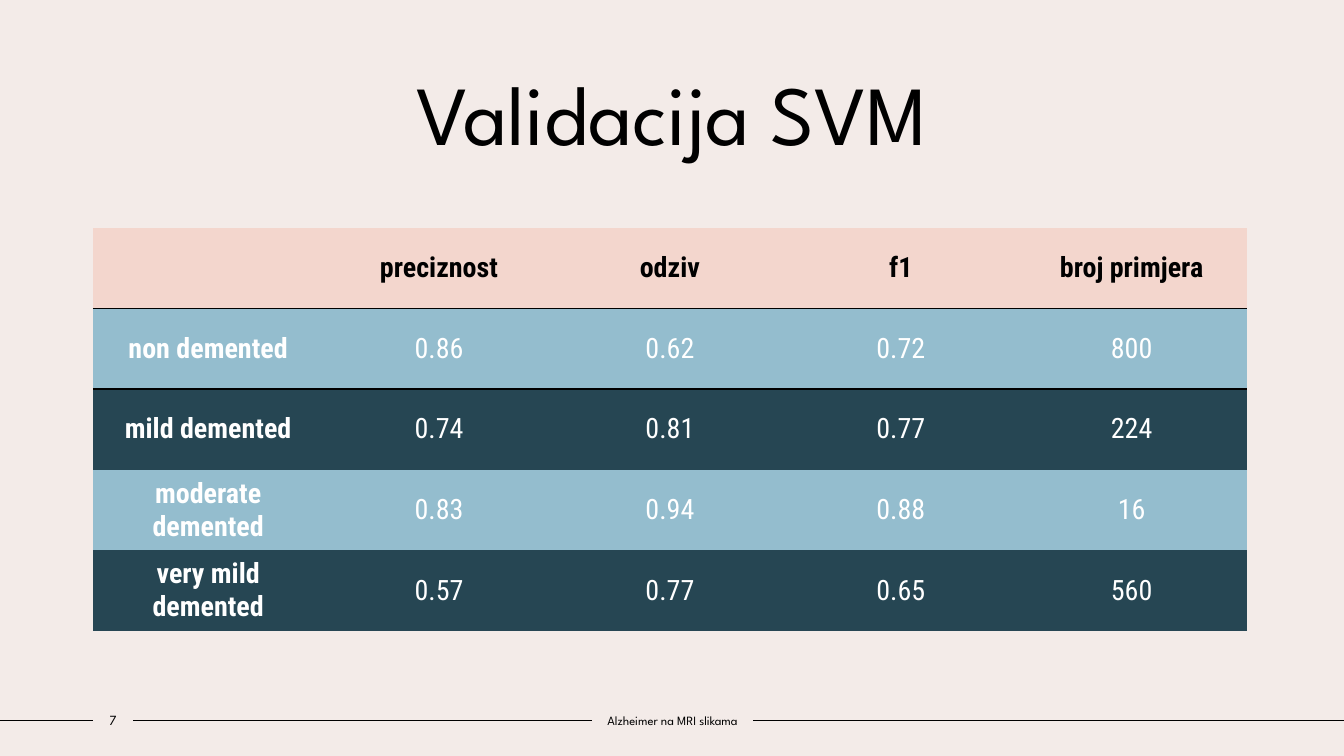
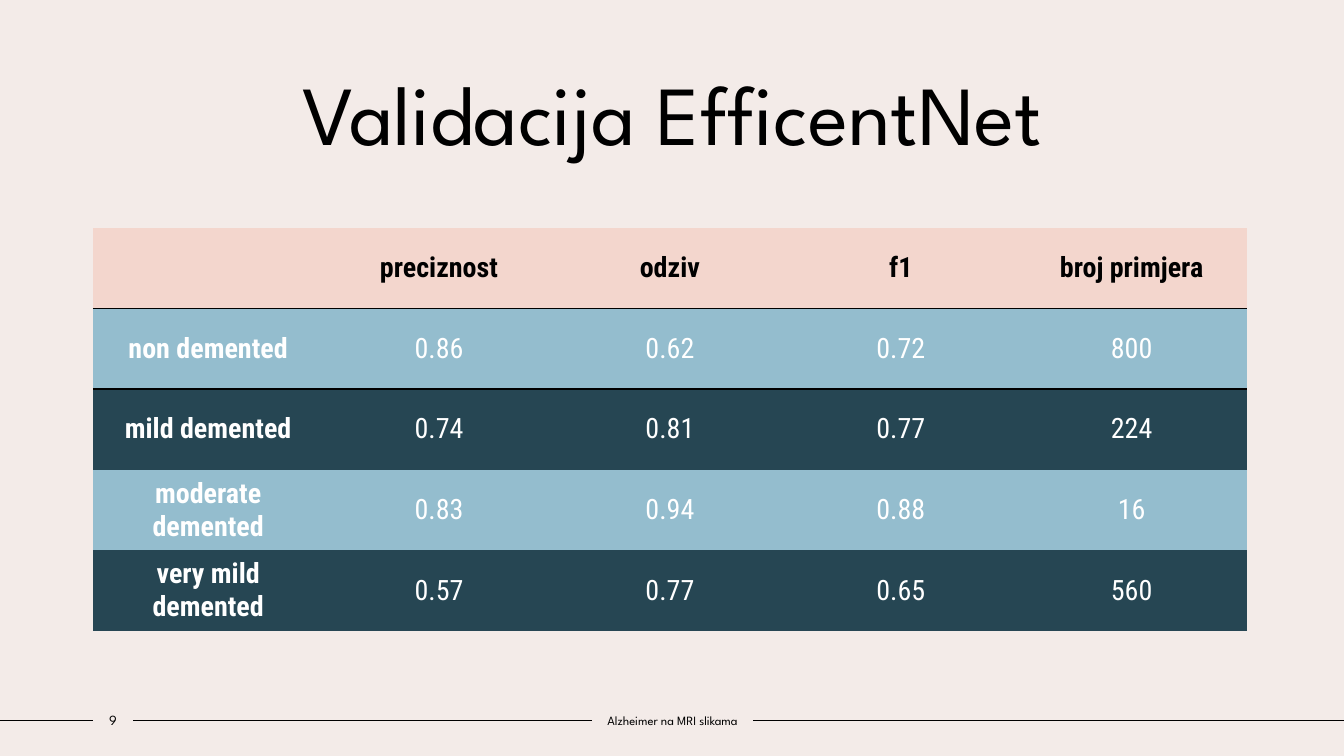
"""Builds two validation-result slides with a shared title style, table and footer."""
from dataclasses import dataclass

from lxml import etree
from pptx import Presentation
from pptx import util as u
from pptx.dml.color import RGBColor
from pptx.enum import shapes, text
from pptx.oxml.ns import qn

SLIDES = [("Validacija SVM", 7), ("Validacija EfficentNet", 9)]
FOOTER = "Alzheimer na MRI slikama"
RESULTS = [
    ("", "preciznost", "odziv", "f1", "broj primjera"),
    ("non demented", "0.86", "0.62", "0.72", "800"),
    ("mild demented", "0.74", "0.81", "0.77", "224"),
    ("moderate demented", "0.83", "0.94", "0.88", "16"),
    ("very mild demented", "0.57", "0.77", "0.65", "560"),
]


@dataclass(frozen=True)
class Theme:
    """Colours, fonts, type sizes and the main measures."""
    paper: str = "F3EBE8"
    ink: str = "000000"
    white: str = "FFFFFF"
    header: str = "F3D6CD"
    bands: tuple = ("94BDCE", "264653")
    display: str = "League Spartan"
    body: str = "Roboto Condensed"
    title_size: int = 60
    table_size: int = 20
    number_size: int = 10
    footer_size: int = 9
    width: float = 13.33
    height: float = 7.5
    margin: float = 0.92
    column: float = 2.29
    row: float = 0.8
    plain_table: str = "{2D5ABB26-0587-4C30-8999-92F81FD0307C}"


THEME = Theme()


def rgb(value):
    """Turn a hex string into a colour."""
    return RGBColor.from_string(value)


def inches(*lengths):
    """Turn numbers into lengths."""
    return [u.Inches(length) for length in lengths]


def write(frame, words, font, size, color=THEME.ink, bold=False):
    """Put centred, formatted words in a text frame."""
    frame.text = words
    para = frame.paragraphs[0]
    para.alignment = text.PP_ALIGN.CENTER
    for span in para.runs:
        span.font.name = font
        span.font.size = u.Pt(size)
        span.font.bold = bold
        span.font.color.rgb = rgb(color)


def add_border(cell, side):
    """Draw a thin rule on one side of a cell."""
    line = etree.Element(qn(f"a:{side}"), w=str(u.Pt(1.5)))
    fill = etree.SubElement(line, qn("a:solidFill"))
    etree.SubElement(fill, qn("a:srgbClr"), val=THEME.ink)
    cell._tc.get_or_add_tcPr().insert(0, line)


def add_results(page):
    """Add the table of results with its header and alternating bands."""
    rows, columns = len(RESULTS), len(RESULTS[0])
    frame = page.shapes.add_table(rows, columns, *inches(
        THEME.margin, 2.26, columns * THEME.column, rows * THEME.row))
    table = frame.table
    table._tbl.tblPr.find(qn("a:tableStyleId")).text = THEME.plain_table
    for column in table.columns:
        column.width = u.Inches(THEME.column)
    for r, values in enumerate(RESULTS):
        table.rows[r].height = u.Inches(THEME.row)
        fill = THEME.bands[(r - 1) % 2] if r else THEME.header
        color = THEME.white if r else THEME.ink
        for c, value in enumerate(values):
            cell = table.cell(r, c)
            cell.vertical_anchor = text.MSO_ANCHOR.MIDDLE
            cell.fill.solid()
            cell.fill.fore_color.rgb = rgb(fill)
            write(cell.text_frame, value, THEME.body, THEME.table_size,
                  color, bold=r == 0 or c == 0)
            if r < 2:
                add_border(cell, "lnT" if r else "lnB")


def add_label(page, words, left, width, size):
    """Add one footer label."""
    box = page.shapes.add_textbox(*inches(left, 7, width, 0.29))
    frame = box.text_frame
    frame.word_wrap = True
    frame.margin_left = frame.margin_right = 0
    frame.vertical_anchor = text.MSO_ANCHOR.MIDDLE
    write(frame, words, THEME.display, size)
    return box


def add_footer(page, number):
    """Add the labels and the rules that run between them."""
    labels = [add_label(page, str(number), THEME.margin, 0.4, THEME.number_size),
              add_label(page, FOOTER, 5.87, 1.6, THEME.footer_size)]
    middle = labels[0].top + labels[0].height // 2
    for before, after in zip([None] + labels, labels + [None]):
        rule = page.shapes.add_connector(shapes.MSO_CONNECTOR.STRAIGHT,
                                         0, middle, u.Inches(THEME.width), middle)
        if before:
            rule.begin_connect(before, 3)
        if after:
            rule.end_connect(after, 1)
        rule.line.color.rgb = rgb(THEME.ink)
        rule.line.width = u.Pt(1)
        etree.SubElement(rule._element.spPr, qn("a:effectLst"))


def main():
    """Build and save the deck."""
    deck = Presentation()
    deck.slide_width, deck.slide_height = inches(THEME.width, THEME.height)
    background = deck.slide_master.background.fill
    background.solid()
    background.fore_color.rgb = rgb(THEME.paper)
    layout = deck.slide_layouts[5]
    title = layout.placeholders[0]
    title.left, title.top, title.width, title.height = inches(1.25, 0.56, 10.84, 1.11)
    for heading, number in SLIDES:
        page = deck.slides.add_slide(layout)
        write(page.shapes.title.text_frame, heading, THEME.display, THEME.title_size)
        add_results(page)
        add_footer(page, number)
    deck.save("out.pptx")


if __name__ == "__main__":
    main()
